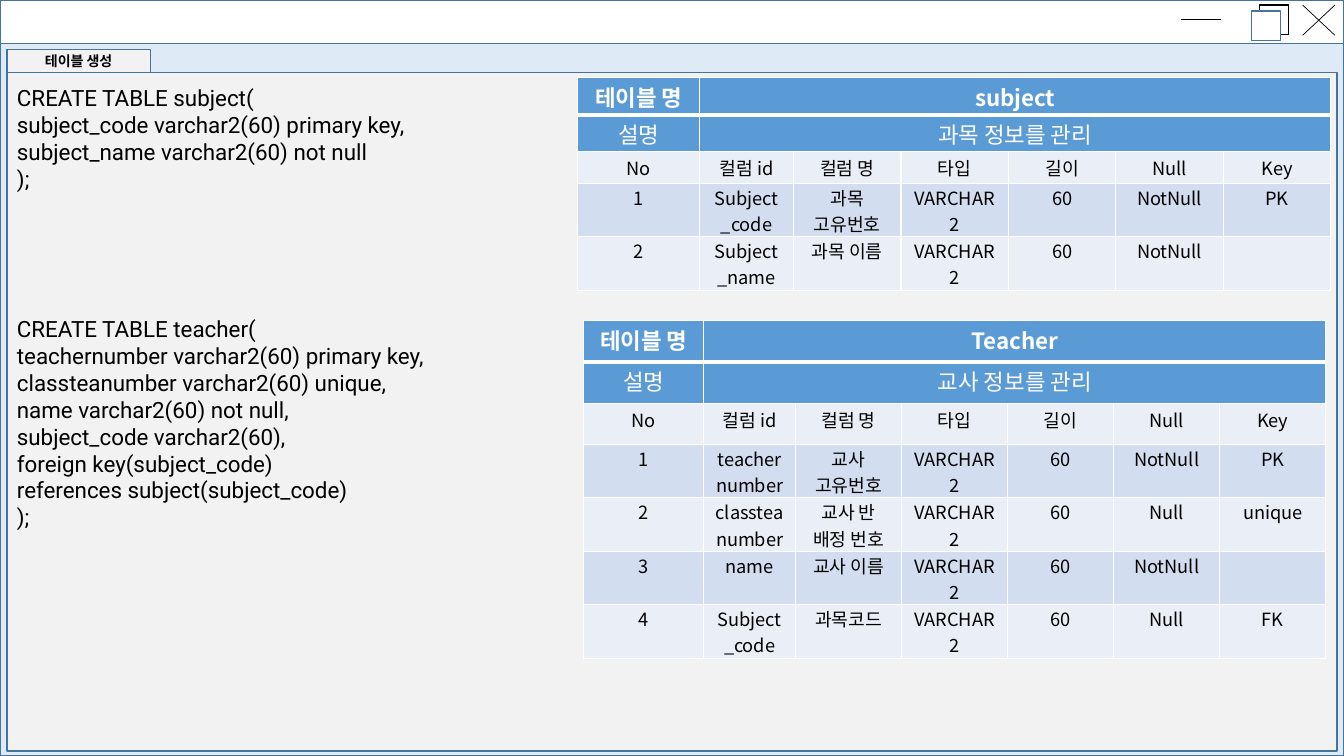
from lxml import etree
from pptx import Presentation
from pptx.dml.color import RGBColor
from pptx.enum.shapes import MSO_CONNECTOR, MSO_SHAPE
from pptx.enum.text import MSO_ANCHOR, MSO_AUTO_SIZE, PP_ALIGN
from pptx.oxml.ns import qn
from pptx.util import Inches, Pt

RECTANGLE, STRAIGHT = MSO_SHAPE.RECTANGLE, MSO_CONNECTOR.STRAIGHT
CENTER, LEFT = PP_ALIGN.CENTER, PP_ALIGN.LEFT
MIDDLE, TOP = MSO_ANCHOR.MIDDLE, MSO_ANCHOR.TOP
NO_FIT = MSO_AUTO_SIZE.NONE

BLACK = RGBColor(0x00, 0x00, 0x00)
WHITE = RGBColor(0xFF, 0xFF, 0xFF)
PALE_BLUE = RGBColor(0xDE, 0xEB, 0xF7)
OUTLINE = RGBColor(0x43, 0x73, 0x9E)
PAPER = RGBColor(0xF2, 0xF2, 0xF2)
HEADER_BLUE = RGBColor(0x5B, 0x9B, 0xD5)
BANDS = (RGBColor(0xEA, 0xEF, 0xF7), RGBColor(0xD2, 0xDE, 0xEF))

KOREAN, LATIN = "Noto Sans CJK KR", "Roboto"
WIDTH, HEIGHT = 13.33, 7.5
BAR_HEIGHT, MARGIN, PAPER_TOP = 0.43, 0.07, 0.72
TAB_WIDTH, TAB_HEIGHT = 1.42, 0.23

TAB_TEXT = dict(size=Pt(10), bold=True, name=KOREAN)
CODE_TEXT = dict(size=Pt(16), bold=False, name=LATIN)
NAME_TEXT = dict(size=Pt(16), bold=True, name=KOREAN)
ABOUT_TEXT = dict(size=Pt(16), bold=False, name=KOREAN)
CELL_TEXT = dict(size=Pt(13), bold=False, name=KOREAN)

COLUMN_NAMES = ["No", "컬럼 id", "컬럼 명", "타입", "길이", "Null", "Key"]

SUBJECT_CODE = """CREATE TABLE subject(
subject_code varchar2(60) primary key,
subject_name varchar2(60) not null
);"""
SUBJECT_FIELDS = [
    ("Subject_code", "과목 고유번호", "NotNull", "PK"),
    ("Subject_name", "과목 이름", "NotNull", ""),
]

TEACHER_CODE = """CREATE TABLE teacher(
teachernumber varchar2(60) primary key,
classteanumber varchar2(60) unique,
name varchar2(60) not null,
subject_code varchar2(60),
foreign key(subject_code)
references subject(subject_code)
);"""
TEACHER_FIELDS = [
    ("teachernumber", "교사 고유번호", "NotNull", "PK"),
    ("classteanumber", "교사 반 배정 번호", "Null", "unique"),
    ("name", "교사 이름", "NotNull", ""),
    ("Subject_code", "과목코드", "Null", "FK"),
]


def inches(*lengths):
    return [Inches(length) for length in lengths]


def write(frame, text, style, color, align):
    """Fill a text frame, one paragraph per line."""
    for number, line in enumerate(text.split("\n")):
        para = frame.add_paragraph() if number else frame.paragraphs[0]
        para.alignment = align
        span = para.add_run()
        span.text = line
        span.font.color.rgb = color
        for key, value in style.items():
            setattr(span.font, key, value)
        east_asian = etree.SubElement(span.font._element, qn("a:ea"))
        east_asian.set("typeface", style["name"])


def paint(shape, fill, line):
    shape.fill.solid()
    shape.fill.fore_color.rgb = fill
    shape.line.color.rgb = line
    shape.line.width = Pt(1)


def add_panel(page, box, fill, line=OUTLINE):
    panel = page.shapes.add_shape(RECTANGLE, *inches(*box))
    panel.shadow.inherit = False
    paint(panel, fill, line)


def add_stroke(page, start, end):
    stroke = page.shapes.add_connector(STRAIGHT, *inches(*start, *end))
    stroke.line.color.rgb = BLACK
    stroke.line.width = Pt(0.5)
    etree.SubElement(stroke._element.spPr, qn("a:effectLst"))


def add_window_buttons(page, box):
    """Minimise, restore and close marks inside the given box."""
    left, top, width, height = box
    right, bottom = left + width, top + height
    # Close
    cross_left = right - 0.32
    add_stroke(page, (cross_left, top), (right, bottom))
    add_stroke(page, (right, top), (cross_left, bottom))
    # Minimise
    middle = top + 0.14
    add_stroke(page, (left, middle), (left + 0.4, middle))
    # Restore
    side = 0.29
    add_panel(page, (left + 0.78, top, side, side), WHITE, BLACK)
    add_panel(page, (left + 0.7, top + 0.06, side, side), WHITE)


def add_window(page):
    """Window frame, title bar, paper and the tab that holds the title."""
    add_panel(page, (0, 0, WIDTH, HEIGHT), PALE_BLUE)
    add_panel(page, (0, 0, WIDTH, BAR_HEIGHT), WHITE)
    add_window_buttons(page, (11.71, 0.05, 1.53, 0.3))
    paper_height = HEIGHT - PAPER_TOP - 0.05
    add_panel(page, (MARGIN, PAPER_TOP, WIDTH - 2 * MARGIN, paper_height), PAPER)

    tab = page.shapes.title
    tab_box = inches(MARGIN, PAPER_TOP - TAB_HEIGHT, TAB_WIDTH, TAB_HEIGHT)
    for key, value in zip(("left", "top", "width", "height"), tab_box):
        setattr(tab, key, value)
    paint(tab, PAPER, OUTLINE)
    frame = tab.text_frame
    frame.auto_size = NO_FIT
    frame.vertical_anchor = MIDDLE
    frame.margin_top = frame.margin_bottom = 0
    write(frame, "테이블 생성", TAB_TEXT, BLACK, CENTER)
    page.shapes.element.append(tab.element)  # bring the tab to the front


def add_code(page, box, code):
    frame = page.shapes.add_textbox(*inches(*box)).text_frame
    frame.word_wrap = True
    write(frame, code, CODE_TEXT, BLACK, LEFT)


def set_borders(cell, row):
    """White rules, with a heavy one under the name row."""
    weights = {"lnL": 1, "lnR": 1, "lnT": 3 if row == 1 else 1, "lnB": 1 if row else 3}
    properties = cell._tc.get_or_add_tcPr()
    for tag, weight in weights.items():
        border = etree.SubElement(properties, qn("a:" + tag), w=str(Pt(weight)))
        fill = etree.SubElement(border, qn("a:solidFill"))
        etree.SubElement(fill, qn("a:srgbClr"), val=str(WHITE))


def add_definition(page, box, name, about, fields, head_rows, field_row):
    """Table definition: name, description, column names, then one row per field."""
    rows = [["테이블 명", name], ["설명", about], COLUMN_NAMES]
    for number, (field, label, null, key) in enumerate(fields, 1):
        rows.append([str(number), field, label, "VARCHAR2", "60", null, key])
    heights = head_rows + [field_row] * len(fields)
    left, top, width, first, second = box
    rest = (width - first - second) / 5
    widths = [first, second] + [rest] * 5

    table = page.shapes.add_table(
        len(rows), len(widths), *inches(left, top, width, sum(heights))).table
    for column, length in zip(table.columns, widths):
        column.width = Inches(length)
    for row, (texts, height) in enumerate(zip(rows, heights)):
        table.rows[row].height = Inches(height)
        header = row < 2
        style = (NAME_TEXT, ABOUT_TEXT)[row] if header else CELL_TEXT
        for column in range(len(widths)):
            cell = table.cell(row, column)
            set_borders(cell, row)
            cell.fill.solid()
            cell.fill.fore_color.rgb = HEADER_BLUE if header else BANDS[row % 2]
            cell.vertical_anchor = TOP
            cell.margin_top = Inches(0.03 if row < 3 else 0.01)
            cell.margin_bottom = 0
            if column < len(texts) and texts[column]:
                write(cell.text_frame, texts[column], style,
                      WHITE if header else BLACK, CENTER)
        if header:
            table.cell(row, 1).merge(table.cell(row, len(widths) - 1))


def main():
    deck = Presentation()
    deck.slide_width, deck.slide_height = inches(WIDTH, HEIGHT)
    page = deck.slides.add_slide(deck.slide_layouts[5])
    add_window(page)
    # Subject
    add_code(page, (MARGIN, 0.79, 7.49, 1.18), SUBJECT_CODE)
    add_definition(page, (5.73, 0.77, 7.47, 1.21, 0.93), "subject",
                   "과목 정보를 관리", SUBJECT_FIELDS, [0.37, 0.36, 0.32], 0.53)
    # Teacher
    add_code(page, (MARGIN, 3.08, 7.37, 2.26), TEACHER_CODE)
    add_definition(page, (5.79, 3.18, 7.36, 1.19, 0.91), "Teacher",
                   "교사 정보를 관리", TEACHER_FIELDS, [0.41] * 3, 0.53)
    deck.save("out.pptx")


if __name__ == "__main__":
    main()
